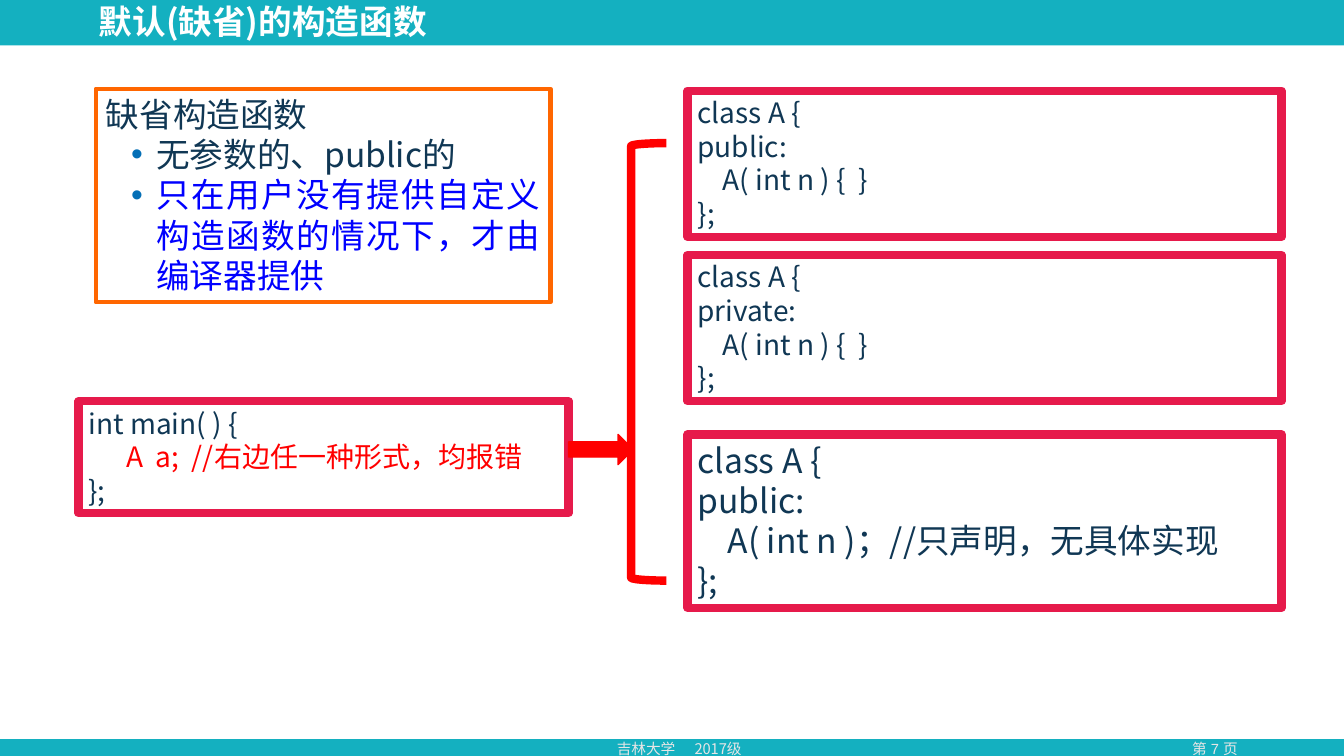
from dataclasses import dataclass

from lxml.etree import SubElement
from pptx import Presentation
from pptx.dml.color import RGBColor
from pptx.enum.shapes import MSO_SHAPE
from pptx.enum.text import MSO_ANCHOR, MSO_AUTO_SIZE, PP_ALIGN
from pptx.oxml.ns import qn
from pptx.shapes.autoshape import Shape
from pptx.slide import Slide
from pptx.text.text import TextFrame, _Paragraph
from pptx.util import Inches, Pt

COLORS = {
    "teal": "14B0C0",
    "white": "FFFFFF",
    "pale": "E7E6E6",
    "navy": "103754",
    "crimson": "E61A4B",
    "orange": "FF6600",
    "red": "FF0000",
    "blue": "0000FF",
    "bullet": "046FB6",
}
CJK_FONT = "Noto Sans CJK SC"


@dataclass(frozen=True)
class Box:
    left: float
    top: float
    width: float
    height: float


@dataclass(frozen=True)
class CodePanel:
    box: Box
    paragraphs: tuple[str, ...]
    size: int = 20
    error_line: int | None = None


@dataclass(frozen=True)
class Figure:
    kind: MSO_SHAPE
    box: Box
    fill: str | None = None
    line: str | None = None
    line_width: float = 0


@dataclass(frozen=True)
class FooterNote:
    box: Box
    text: str
    font: str
    align: PP_ALIGN


BANDS = [
    Figure(MSO_SHAPE.RECTANGLE, Box(0, 0, 13.33, 7.5), fill="teal"),
    Figure(MSO_SHAPE.RECTANGLE, Box(0, 0.45, 13.33, 6.88), fill="white"),
]
FOOTER_NOTES = [
    FooterNote(Box(11.32, 7.29, 1.46, 0.28), "第 7 页", "Arial", PP_ALIGN.CENTER),
    FooterNote(Box(6.02, 7.29, 1.84, 0.28), "吉林大学\t2017级", CJK_FONT, PP_ALIGN.LEFT),
]
CODE_PANELS = [
    CodePanel(Box(6.82, 0.9, 5.89, 1.45),
              ("class A {\vpublic:\v    A( int n ) {  }\v};",)),
    CodePanel(Box(6.82, 2.53, 5.89, 1.45),
              ("class A {\vprivate:\v    A( int n ) {  }\v};",)),
    CodePanel(Box(6.82, 4.31, 5.89, 1.72),
              ("class A {\vpublic:\v    A( int n )；//只声明，无具体实现", "};"), size=24),
    CodePanel(Box(0.78, 3.98, 4.86, 1.11),
              ("int main( ) {\v      A  a;  //右边任一种形式，均报错\v};",), error_line=1),
]
LINKS = [
    Figure(MSO_SHAPE.LEFT_BRACKET, Box(6.26, 1.42, 0.35, 4.34), line="red", line_width=6),
    Figure(MSO_SHAPE.RIGHT_ARROW, Box(5.64, 4.31, 0.64, 0.3), "red", "red", 1),
]
RULES = ["缺省构造函数", "无参数的、public的", "只在用户没有提供自定义构造函数的情况下，才由编译器提供"]


def rgb(name: str) -> RGBColor:
    return RGBColor.from_string(COLORS[name])


def place(shape: Shape, box: Box) -> None:
    shape.left, shape.top = Inches(box.left), Inches(box.top)
    shape.width, shape.height = Inches(box.width), Inches(box.height)


def style_runs(paragraph: _Paragraph, size: float, color: str,
               font: str = CJK_FONT, bold: bool = False) -> None:
    for run in paragraph.runs:
        run.font.size = Pt(size)
        run.font.bold = bold
        run.font.color.rgb = rgb(color)
        run.font.name = font
        SubElement(run.font._element, qn("a:ea"), typeface=font)


def prepare_frame(frame: TextFrame, anchor: MSO_ANCHOR) -> None:
    frame.word_wrap = True
    frame.auto_size = MSO_AUTO_SIZE.NONE
    frame.vertical_anchor = anchor


def set_bullet(paragraph: _Paragraph, bulleted: bool) -> None:
    properties = paragraph._p.get_or_add_pPr()
    properties.set("marL", str(Inches(0.5 if bulleted else 0)))
    properties.set("indent", str(Inches(-0.25 if bulleted else 0)))
    if bulleted:
        bullet_color = SubElement(properties, qn("a:buClr"))
        SubElement(bullet_color, qn("a:srgbClr"), val=COLORS["bullet"])
        SubElement(properties, qn("a:buFont"), typeface="Arial")
        SubElement(properties, qn("a:buChar"), char="•")
    else:
        SubElement(properties, qn("a:buNone"))


def add_figure(slide: Slide, figure: Figure) -> Shape:
    shape = slide.shapes.add_shape(figure.kind, 0, 0, 0, 0)
    place(shape, figure.box)
    shape.shadow.inherit = False
    if figure.fill:
        shape.fill.solid()
        shape.fill.fore_color.rgb = rgb(figure.fill)
    else:
        shape.fill.background()
    if figure.line:
        shape.line.color.rgb = rgb(figure.line)
        shape.line.width = Pt(figure.line_width)
    else:
        shape.line.fill.background()
    return shape


def add_bands(slide: Slide) -> None:
    tree = slide.shapes._spTree
    for position, band in enumerate(BANDS, start=2):
        tree.insert(position, add_figure(slide, band)._element)


def add_footer_note(slide: Slide, note: FooterNote) -> None:
    footer = slide.shapes.add_textbox(0, 0, 0, 0)
    place(footer, note.box)
    prepare_frame(footer.text_frame, MSO_ANCHOR.TOP)
    footer.text_frame.text = note.text
    paragraph = footer.text_frame.paragraphs[0]
    paragraph.alignment = note.align
    if "\t" in note.text:
        tabs = SubElement(paragraph._p.get_or_add_pPr(), qn("a:tabLst"))
        SubElement(tabs, qn("a:tab"), pos=str(Inches(0.77)), algn="l")
    style_runs(paragraph, 10.5, "pale", note.font)


def fill_title(slide: Slide) -> None:
    title = slide.shapes.title
    place(title, Box(0.88, 0.04, 7.68, 0.39))
    prepare_frame(title.text_frame, MSO_ANCHOR.MIDDLE)
    title.text_frame.text = "默认(缺省)的构造函数"
    paragraph = title.text_frame.paragraphs[0]
    paragraph.alignment = PP_ALIGN.LEFT
    paragraph.line_spacing = 0.9
    style_runs(paragraph, 24, "white", bold=True)


def fill_rules(slide: Slide) -> None:
    rules = slide.placeholders[1]
    place(rules, Box(0.95, 0.88, 4.51, 2.12))
    rules.line.color.rgb = rgb("orange")
    rules.line.width = Pt(3)
    prepare_frame(rules.text_frame, MSO_ANCHOR.TOP)
    rules.text_frame.text = "\n".join(RULES)
    for index, paragraph in enumerate(rules.text_frame.paragraphs):
        paragraph.level = min(index, 1)
        paragraph.alignment = PP_ALIGN.JUSTIFY
        paragraph.space_before = Pt(0)
        set_bullet(paragraph, index > 0)
        style_runs(paragraph, 24, "blue" if index == 2 else "navy")


def add_code_panel(slide: Slide, panel: CodePanel) -> None:
    shape = add_figure(slide, Figure(MSO_SHAPE.RECTANGLE, panel.box, None, "crimson", 6))
    prepare_frame(shape.text_frame, MSO_ANCHOR.TOP)
    shape.text_frame.text = "\n".join(panel.paragraphs)
    for paragraph in shape.text_frame.paragraphs:
        paragraph.alignment = PP_ALIGN.LEFT
        style_runs(paragraph, panel.size, "navy")
    if panel.error_line is not None:
        error = shape.text_frame.paragraphs[0].runs[panel.error_line]
        error.font.color.rgb = rgb("red")


def main() -> None:
    deck = Presentation()
    deck.slide_width, deck.slide_height = Inches(13.33), Inches(7.5)
    slide = deck.slides.add_slide(deck.slide_layouts[1])
    add_bands(slide)
    fill_title(slide)
    fill_rules(slide)
    for note in FOOTER_NOTES:
        add_footer_note(slide, note)
    for panel in CODE_PANELS:
        add_code_panel(slide, panel)
    for link in LINKS:
        add_figure(slide, link)
    deck.save("out.pptx")


if __name__ == "__main__":
    main()
